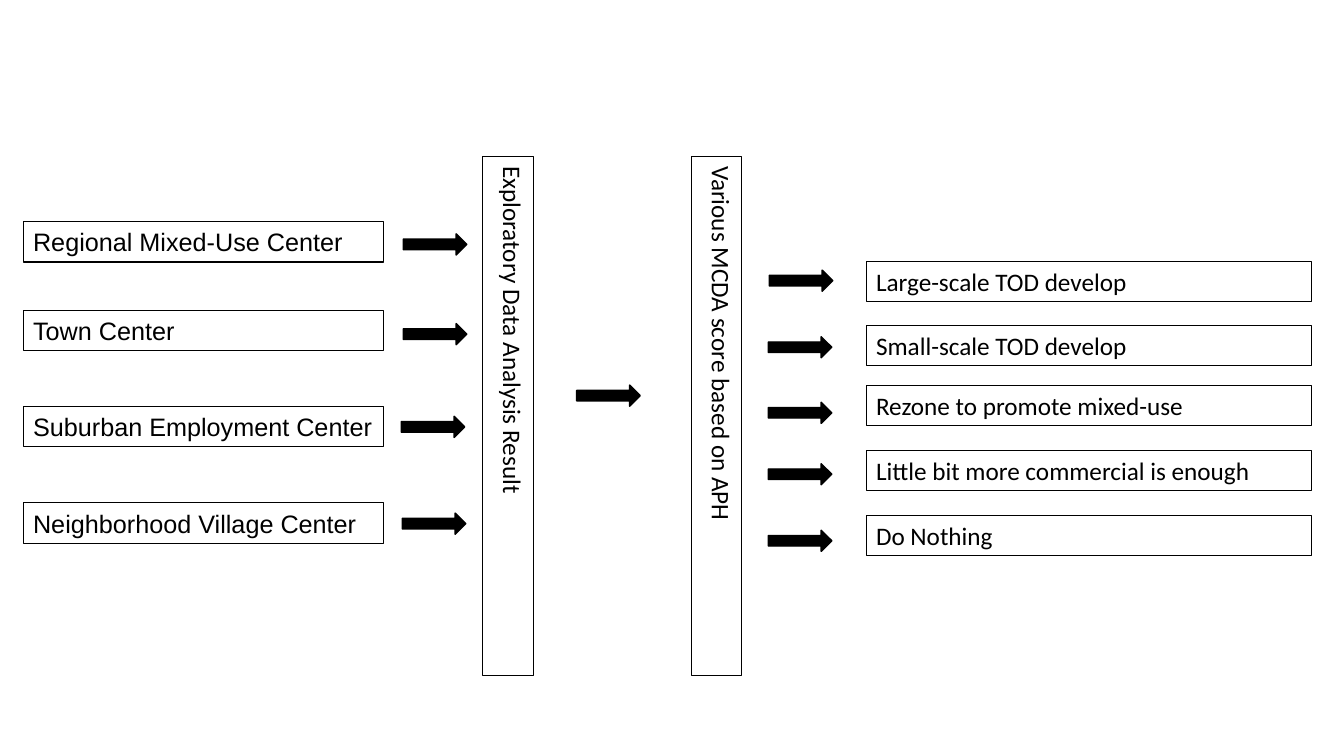
from dataclasses import dataclass

from pptx import Presentation
from pptx.dml.color import RGBColor
from pptx.enum.shapes import MSO_SHAPE
from pptx.enum.text import MSO_AUTO_SIZE
from pptx.util import Inches, Pt

BLACK = RGBColor(0x00, 0x00, 0x00)
ARROW_W, ARROW_H = 0.63, 0.21
BOX_H = 0.4
CENTER_X, CENTER_W = 0.23, 3.57
ACTION_X, ACTION_W = 8.59, 4.42
STAGE_Y, STAGE_W, STAGE_H = 1.55, 0.5, 5.15


@dataclass
class Row:
    text: str
    top: float
    arrow_x: float
    arrow_y: float


@dataclass
class Stage:
    text: str
    left: float


CENTERS = [
    Row("Regional Mixed-Use Center", 2.2, 4, 2.32),
    Row("Town Center", 3.08, 4, 3.21),
    Row("Suburban Employment Center", 4.03, 3.98, 4.13),
    Row("Neighborhood Village Center", 4.99, 3.99, 5.09),
]
ACTIONS = [
    Row("Large-scale TOD develop", 2.59, 7.63, 2.68),
    Row("Small-scale TOD develop", 3.23, 7.62, 3.34),
    Row("Rezone to promote mixed-use", 3.82, 7.62, 3.99),
    Row("Little bit more commercial is enough", 4.47, 7.62, 4.6),
    Row("Do Nothing", 5.11, 7.62, 5.26),
]
STAGES = [
    Stage("Exploratory Data Analysis Result", 4.79),
    Stage("Various MCDA score based on APH", 6.86),
]

prs = Presentation()
prs.slide_width, prs.slide_height = Inches(13.33), Inches(7.5)
s = prs.slides.add_slide(prs.slide_layouts[6])


def add_box(text: str, x: float, y: float, w: float, h: float,
            font: str = "Calibri", vertical: bool = False) -> None:
    """Outlined text box, optionally with its text running downwards."""
    sp = s.shapes.add_textbox(Inches(x), Inches(y), Inches(w), Inches(h))
    sp.line.color.rgb = BLACK
    sp.line.width = Pt(0.75)
    tf = sp.text_frame
    tf.word_wrap = True
    tf.auto_size = MSO_AUTO_SIZE.SHAPE_TO_FIT_TEXT
    if vertical:
        tf._txBody.bodyPr.set("vert", "eaVert")
    p = tf.paragraphs[0]
    p.text = text
    p.font.name = font
    p.font.size = Pt(18)
    p.font.color.rgb = BLACK


def add_arrow(x: float, y: float) -> None:
    """Solid block arrow pointing right."""
    sp = s.shapes.add_shape(MSO_SHAPE.RIGHT_ARROW, Inches(x), Inches(y),
                            Inches(ARROW_W), Inches(ARROW_H))
    sp.shadow.inherit = False
    sp.fill.solid()
    sp.fill.fore_color.rgb = BLACK
    sp.line.color.rgb = BLACK
    sp.line.width = Pt(1)


# Center types and resulting actions
for row in CENTERS:
    add_box(row.text, CENTER_X, row.top, CENTER_W, BOX_H, font="Arial")
for row in ACTIONS:
    add_box(row.text, ACTION_X, row.top, ACTION_W, BOX_H)

# Analysis stages
for stage in STAGES:
    add_box(stage.text, stage.left, STAGE_Y, STAGE_W, STAGE_H, vertical=True)

# Flow arrows
for row in CENTERS + ACTIONS:
    add_arrow(row.arrow_x, row.arrow_y)
add_arrow(5.72, 3.82)

prs.save("out.pptx")
